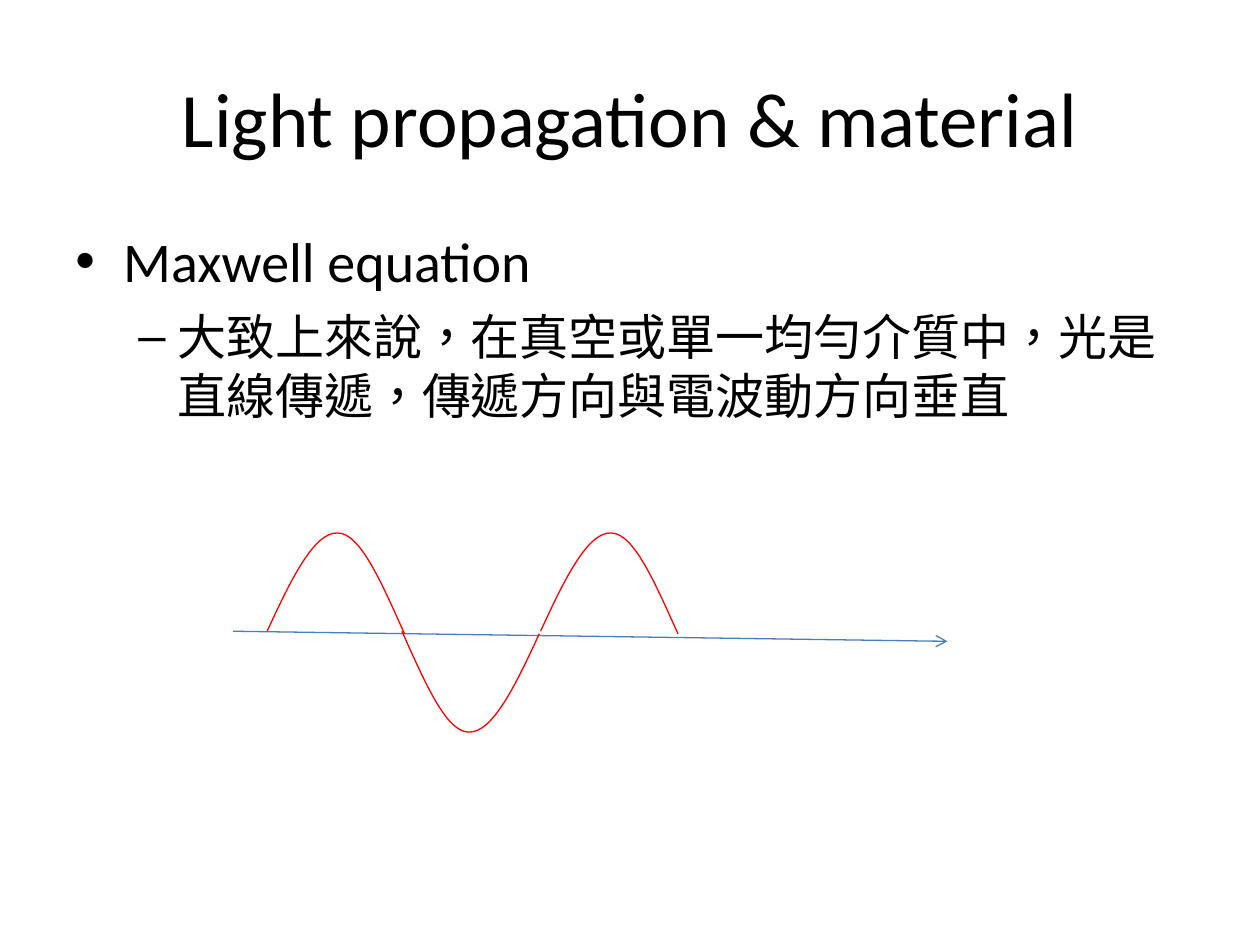
from dataclasses import dataclass

from lxml import etree
from pptx import Presentation
from pptx.dml.color import RGBColor
from pptx.enum.shapes import MSO_CONNECTOR
from pptx.enum.text import MSO_ANCHOR, PP_ALIGN
from pptx.oxml.ns import qn
from pptx.util import Emu, Inches, Pt

STRAIGHT = MSO_CONNECTOR.STRAIGHT
MIDDLE = MSO_ANCHOR.MIDDLE
CENTER = PP_ALIGN.CENTER
FONT = "Calibri"
BLACK, BLUE, RED = "000000", "4A7EBB", "FF0000"
LINE_WIDTH = 0.74
MARGIN = 0.05
HALF_WAVE = [(0, 0.79), (0.18, 0.4), (0.37, 0), (0.56, 0.01),
             (0.74, 0.01), (0.91, 0.41), (1.09, 0.81)]


@dataclass
class Bullet:
    text: str
    level: int
    size: int
    char: str
    left: float
    hang: float
    before: int
    lang: str


@dataclass
class Wave:
    left: float
    top: float
    rotation: int = 0


BULLETS = [
    Bullet("Maxwell equation", 0, 32, "•", 0.38, 0.38, 8, "en-US"),
    Bullet("大致上來說，在真空或單一均勻介質中，光是直線傳遞，傳遞方向與電波動方向垂直",
           1, 28, "–", 0.81, 0.31, 7, "zh-TW"),
]
WAVES = [Wave(2.12, 4.22), Wave(3.19, 5.01, 180), Wave(4.29, 4.22)]


def color(value: str) -> RGBColor:
    return RGBColor.from_string(value)


def place(sp, left: float, top: float, width: float, height: float) -> None:
    sp.left, sp.top = Emu(int(prs.slide_width * left)), Emu(int(prs.slide_height * top))
    sp.width, sp.height = Emu(int(prs.slide_width * width)), Emu(int(prs.slide_height * height))


def add_run(p, text: str, size: int, lang: str) -> None:
    r = p.add_run()
    r.text = text
    r.font.size = Pt(size)
    r.font.name = FONT
    r.font.color.rgb = color(BLACK)
    r._r.get_or_add_rPr().set("lang", lang)


def add_bullet(p, bullet: Bullet) -> None:
    p.level = bullet.level
    p.space_before = Pt(bullet.before)
    pPr = p._p.get_or_add_pPr()
    pPr.set("marL", str(Inches(bullet.left)))
    pPr.set("indent", str(-Inches(bullet.hang)))
    etree.SubElement(pPr, qn("a:buFont")).set("typeface", "Arial")
    etree.SubElement(pPr, qn("a:buChar")).set("char", bullet.char)
    add_run(p, bullet.text, bullet.size, bullet.lang)


def style_line(sp, value: str) -> None:
    sp.line.color.rgb = color(value)
    sp.line.width = Pt(LINE_WIDTH)


def add_axis(shapes) -> None:
    axis = shapes.add_connector(STRAIGHT, Inches(1.85), Inches(5.01),
                                Inches(7.52), Inches(5.09))
    style_line(axis, BLUE)
    etree.SubElement(axis.line._get_or_add_ln(), qn("a:tailEnd")).set("type", "arrow")
    etree.SubElement(axis._element.spPr, qn("a:effectLst"))


def add_wave(shapes, wave: Wave) -> None:
    points = [(Inches(x), Inches(y)) for x, y in HALF_WAVE]
    builder = shapes.build_freeform(*points[0])
    builder.add_line_segments(points[1:], close=False)
    sp = builder.convert_to_shape(Inches(wave.left), Inches(wave.top))
    segments = list(sp._element.iter(qn("a:lnTo")))
    for i in range(0, len(segments), 3):
        curve = etree.SubElement(segments[i].getparent(), qn("a:cubicBezTo"))
        for segment in segments[i:i + 3]:
            curve.append(segment[0])
            segment.getparent().remove(segment)
    sp.rotation = wave.rotation
    sp.fill.background()
    sp.shadow.inherit = False
    style_line(sp, RED)


prs = Presentation()
prs.slide_width, prs.slide_height = Inches(10), Inches(7.5)
s = prs.slides.add_slide(prs.slide_layouts[5])

title = s.shapes.title
place(title, MARGIN, 0.04, 1 - 2 * MARGIN, 1 / 6)
title.text_frame.vertical_anchor = MIDDLE
p = title.text_frame.paragraphs[0]
p.alignment = CENTER
add_run(p, "Light propagation & material", 44, "en-US")

body = s.shapes.add_textbox(0, 0, 0, 0)
place(body, MARGIN, 7 / 30, 1 - 2 * MARGIN, 0.66)
tf = body.text_frame
tf.word_wrap = True
for i, bullet in enumerate(BULLETS):
    add_bullet(tf.add_paragraph() if i else tf.paragraphs[0], bullet)

add_axis(s.shapes)
for wave in WAVES:
    add_wave(s.shapes, wave)

prs.save("out.pptx")
